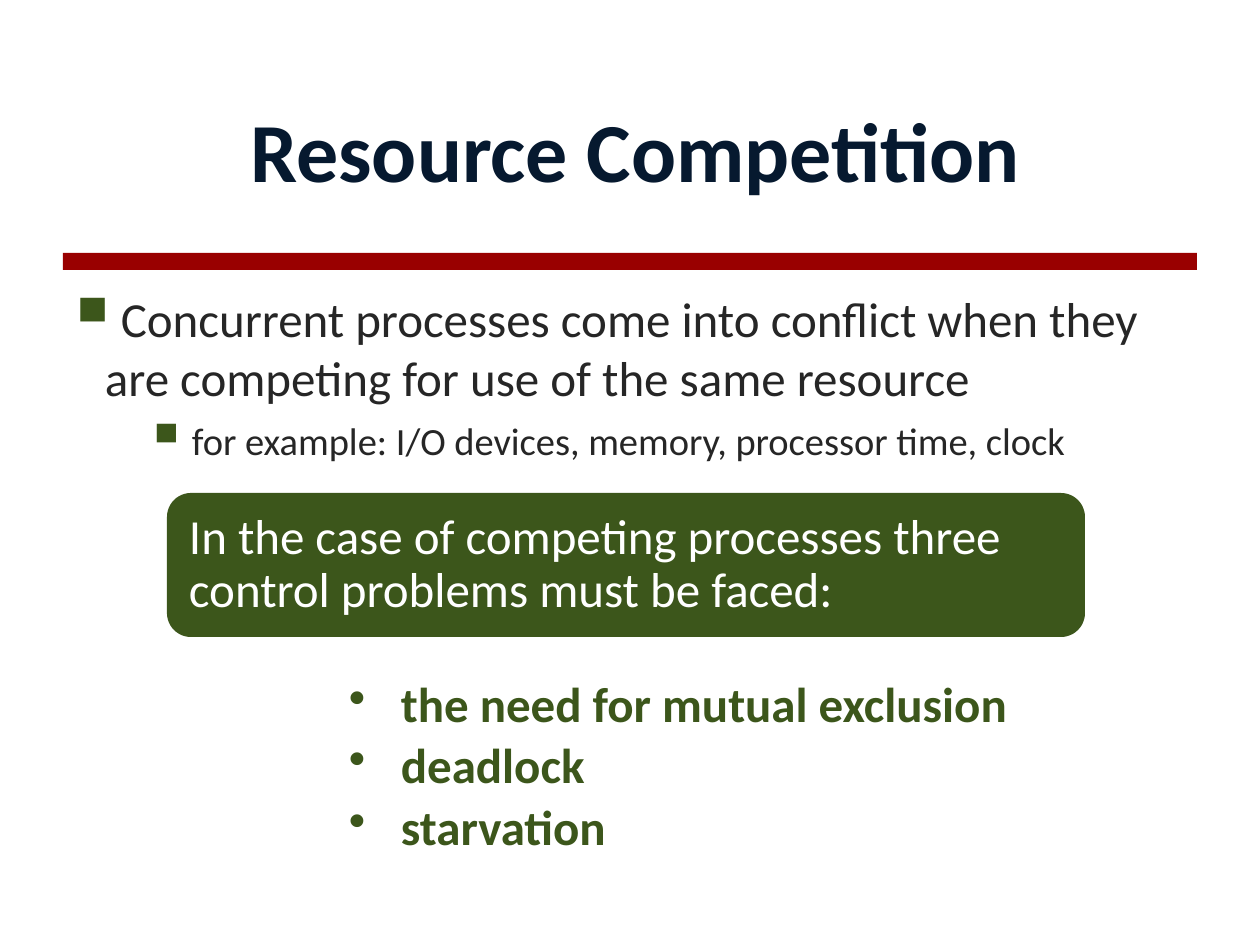
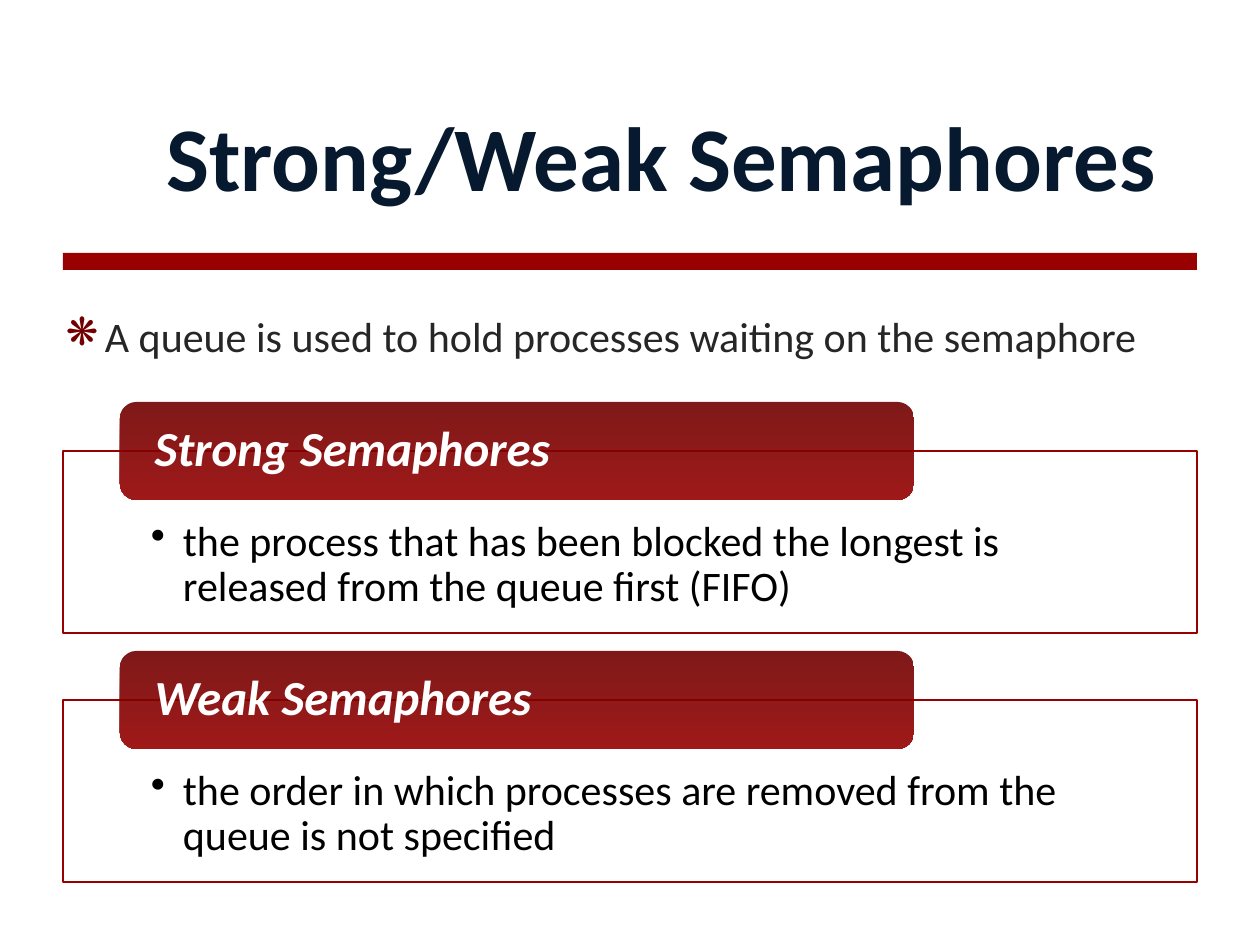
from lxml import etree
from pptx import Presentation
from pptx.dml.color import RGBColor
from pptx.enum.shapes import MSO_SHAPE as SHAPE
from pptx.enum.text import MSO_ANCHOR as ANCHOR, PP_ALIGN as ALIGN
from pptx.oxml.ns import qn
from pptx.util import Emu, Pt

FONT = "Calibri"
WHITE, BLACK, INK, NAVY = "FFFFFF", "000000", "262626", "06192F"
GREEN, RED, MAROON = "3C561B", "990000", "730000"
TAB_STOPS = ["720000", "950000"]
OPACITY = 90

COMPETITION = {
    "title": "Resource Competition",
    "point": "Concurrent processes come into conflict when they are competing for use of the same resource",
    "example": "for example: I/O devices, memory, processor time, clock",
    "callout": "In the case of competing processes three control problems must be faced:",
    "problems": ["the need for mutual exclusion", "deadlock", "starvation"],
}
SEMAPHORES = {
    "title": "Strong/Weak Semaphores",
    "point": "A queue is used to hold processes waiting on the semaphore",
    "kinds": [
        ("Strong Semaphores",
         "the process that has been blocked the longest is released from the queue first (FIFO)"),
        ("Weak Semaphores",
         "the order in which processes are removed from the queue is not specified"),
    ],
}


def px(n):
    return Emu(round(n * 914400 / 126))


def rgb(color):
    return RGBColor.from_string(color)


def add_bullet(p, char, left, hang, color=None, percent=100):
    pPr = p._p.get_or_add_pPr()
    pPr.set("marL", str(px(left)))
    pPr.set("indent", str(-px(hang)))
    if color:
        clr = etree.SubElement(pPr, qn("a:buClr"))
        etree.SubElement(clr, qn("a:srgbClr")).set("val", color)
    etree.SubElement(pPr, qn("a:buSzPct")).set("val", str(percent * 1000))
    etree.SubElement(pPr, qn("a:buChar")).set("char", char)


def write(tf, text, size=28, color=INK, bold=False, italic=False, align=ALIGN.LEFT,
          spacing=1.0, before=0, after=0, bullet=None):
    p = tf.paragraphs[0] if not tf.paragraphs[0].runs else tf.add_paragraph()
    if bullet:
        add_bullet(p, **bullet)
    p.alignment, p.line_spacing = align, spacing
    p.space_before, p.space_after = Pt(before), Pt(after)
    r = p.add_run()
    r.text = text
    r.font.name, r.font.size = FONT, Pt(size)
    r.font.bold, r.font.italic = bold, italic
    r.font.color.rgb = rgb(color)


def set_frame(shape, anchor, insets):
    tf = shape.text_frame
    tf.word_wrap, tf.vertical_anchor = True, anchor
    tf.margin_left, tf.margin_top, tf.margin_right, tf.margin_bottom = map(px, insets)
    return tf


def add_text(s, box, anchor=ANCHOR.TOP, insets=(13, 6, 13, 6)):
    return set_frame(s.shapes.add_textbox(*map(px, box)), anchor, insets)


def add_box(s, kind, box, fill, line=None, opacity=100):
    sp = s.shapes.add_shape(kind, *map(px, box))
    sp.shadow.inherit = False
    if isinstance(fill, list):
        sp.fill.gradient()
        sp.fill.gradient_angle = 270
        for stop, color in zip(sp.fill.gradient_stops, fill):
            stop.color.rgb = rgb(color)
    else:
        sp.fill.solid()
        sp.fill.fore_color.rgb = rgb(fill)
    if opacity < 100:
        for clr in sp._element.spPr.iter(qn("a:srgbClr")):
            etree.SubElement(clr, qn("a:alpha")).set("val", str(opacity * 1000))
    if line:
        sp.line.color.rgb = rgb(line)
        sp.line.width = Pt(1.25)
    else:
        sp.line.fill.background()
    return sp


def add_slide(prs, title, box, size, align):
    s = prs.slides.add_slide(prs.slide_layouts[6])
    add_box(s, SHAPE.RECTANGLE, (63, 253, 1134, 17), RED)
    tf = add_text(s, box, ANCHOR.BOTTOM, (13, 0, 13, 0))
    write(tf, title, size=size, color=NAVY, bold=True, align=align, spacing=Pt(54))
    return s


def build_competition(prs):
    c = COMPETITION
    s = add_slide(prs, c["title"], (105, 63, 1061, 136), 48, ALIGN.CENTER)
    square = dict(char="▪", color=GREEN, percent=150)
    tf = add_text(s, (53, 283, 1155, 200))
    write(tf, c["point"], bullet=dict(square, left=39, hang=39))
    write(tf, c["example"], size=22, before=6, bullet=dict(square, left=126, hang=47))

    callout = add_box(s, SHAPE.ROUNDED_RECTANGLE, (167, 493, 918, 144), GREEN)
    tf = set_frame(callout, ANCHOR.MIDDLE, (15, 15, 15, 15))
    write(tf, c["callout"], color=WHITE, spacing=0.9)

    tf = add_text(s, (349, 680, 720, 190), insets=(0, 0, 0, 0))
    for problem in c["problems"]:
        write(tf, problem, color=GREEN, bold=True, spacing=0.9, after=5,
              bullet=dict(char="•", left=52, hang=52))


def build_semaphores(prs):
    c = SEMAPHORES
    s = add_slide(prs, c["title"], (91, 63, 1078, 147), 52, ALIGN.RIGHT)
    tf = add_text(s, (53, 305, 1200, 84))
    write(tf, c["point"], size=24,
          bullet=dict(char="❋", left=39, hang=39, color=MAROON, percent=92))

    for i, (name, rule) in enumerate(c["kinds"]):
        top = 451 + 249 * i
        panel = add_box(s, SHAPE.RECTANGLE, (63, top, 1134, 182), WHITE, RED, OPACITY)
        tf = set_frame(panel, ANCHOR.TOP, (88, 69, 88, 24))
        write(tf, rule, size=24, color=BLACK, spacing=0.9,
              bullet=dict(char="•", left=32, hang=32))
        tab = add_box(s, SHAPE.ROUNDED_RECTANGLE, (120, top - 49, 794, 98), TAB_STOPS,
                      opacity=OPACITY)
        tf = set_frame(tab, ANCHOR.MIDDLE, (30, 0, 30, 0))
        write(tf, name, color=WHITE, bold=True, italic=True, spacing=0.9)


def main():
    prs = Presentation()
    prs.slide_width, prs.slide_height = px(1260), px(945)
    build_competition(prs)
    build_semaphores(prs)
    prs.save("out.pptx")


if __name__ == "__main__":
    main()
